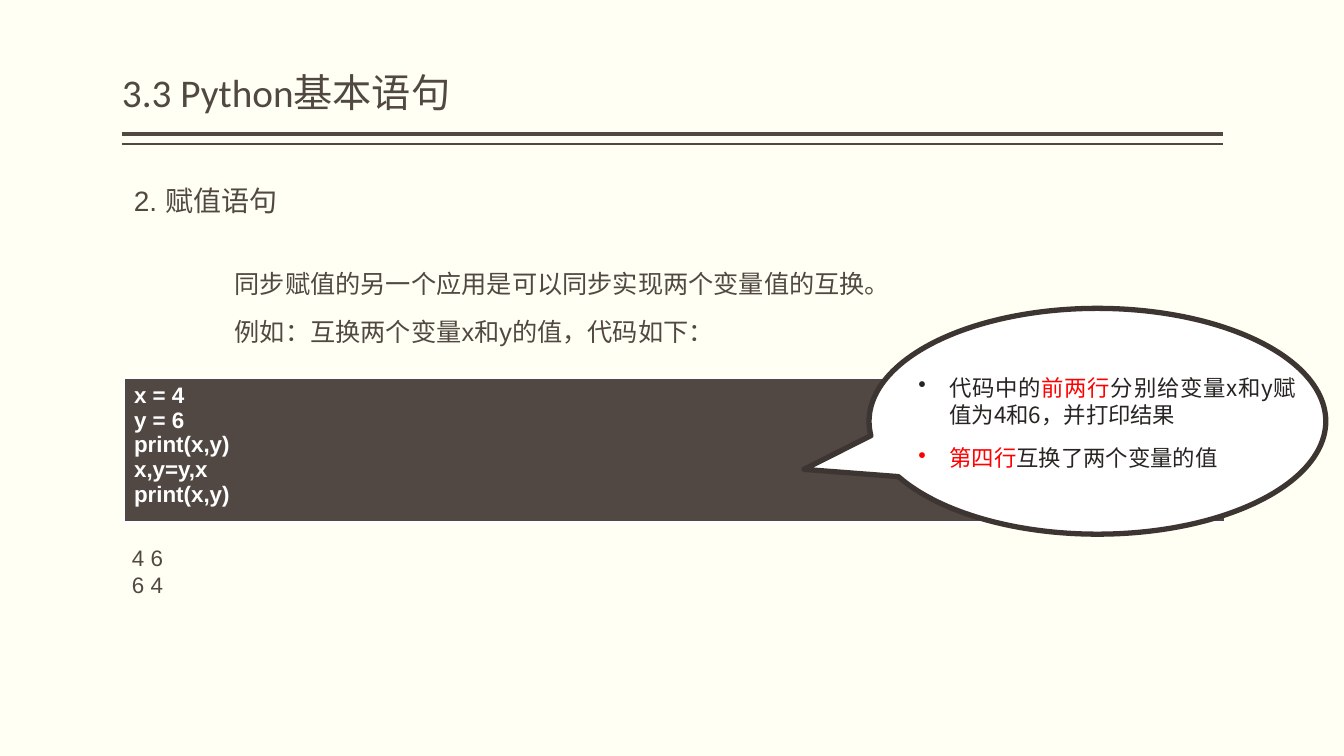
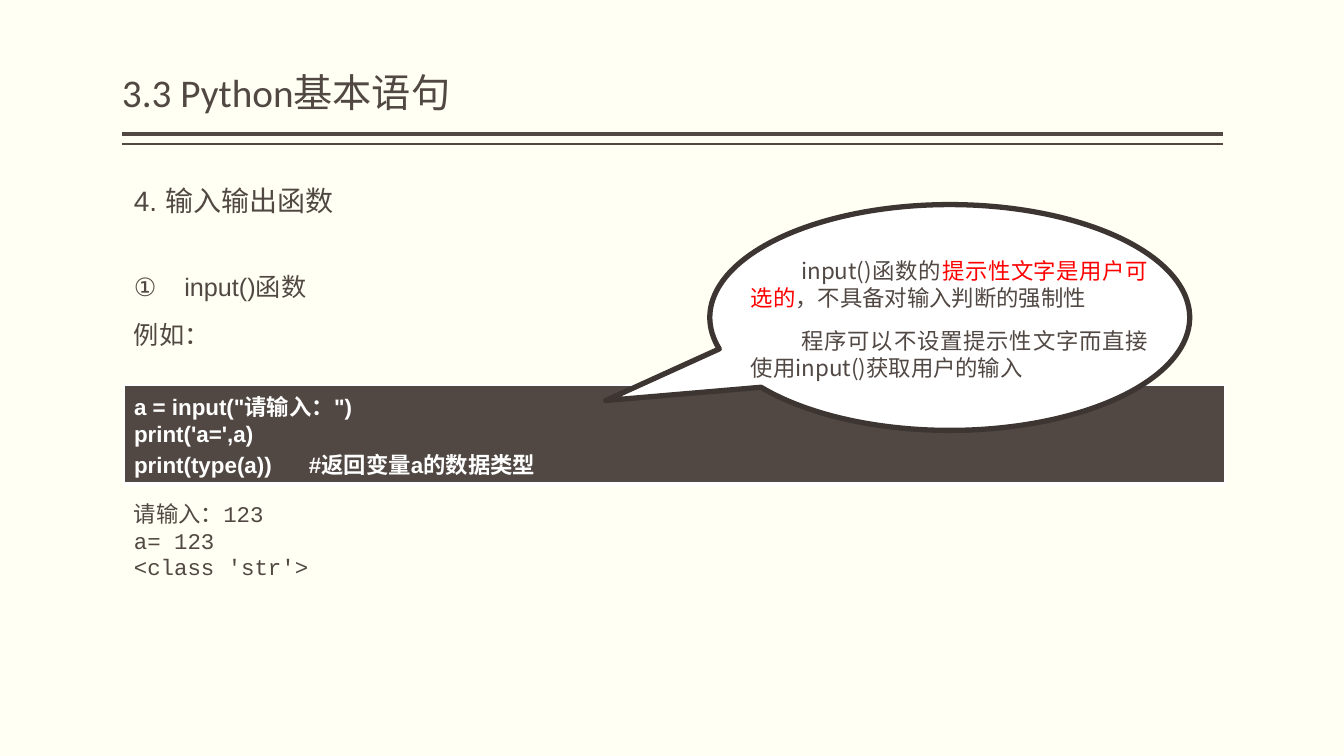
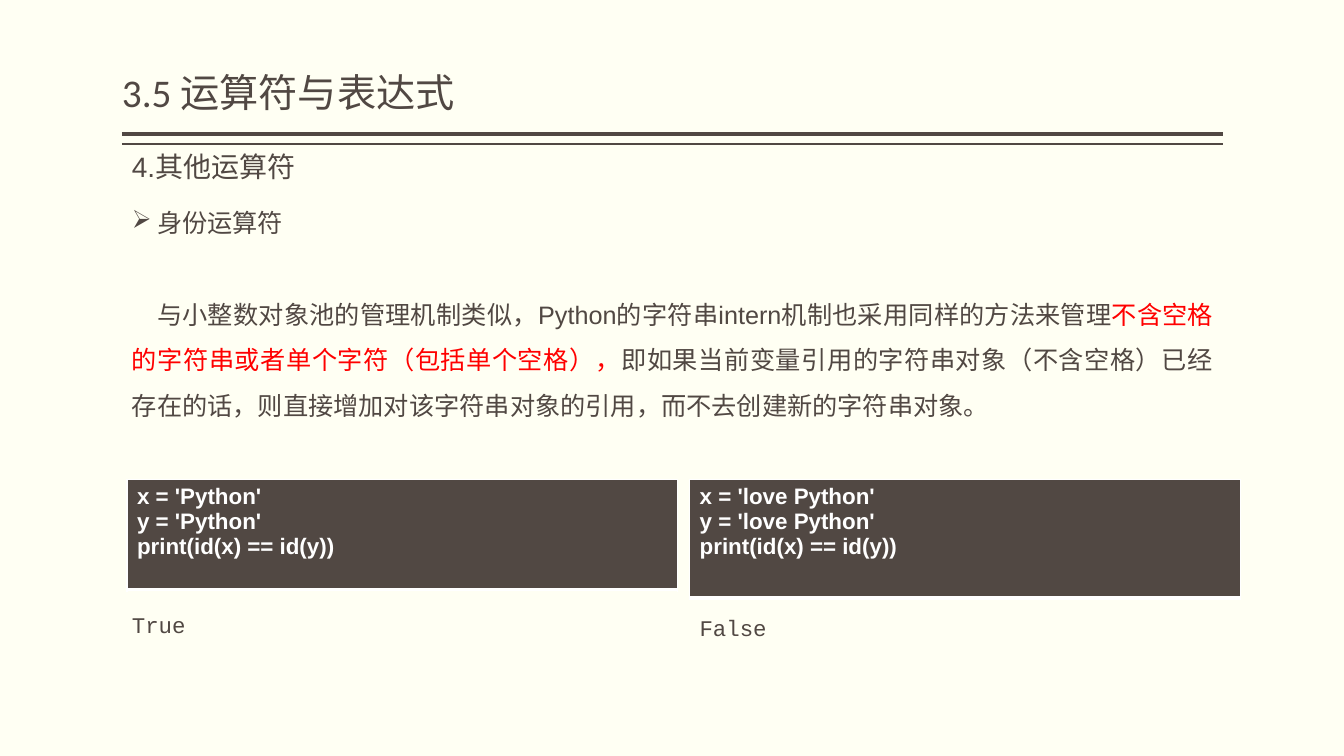
import pptx
import pptx.dml.color
import pptx.enum.shapes
import pptx.enum.text
import pptx.oxml
import pptx.oxml.ns
import pptx.util
from dataclasses import dataclass

Inches = pptx.util.Inches
Pt = pptx.util.Pt
qn = pptx.oxml.ns.qn
RGB = pptx.dml.color.RGBColor.from_string
JUSTIFY = pptx.enum.text.PP_ALIGN.JUSTIFY
NAMESPACE = pptx.oxml.ns.nsdecls("a")


@dataclass
class Theme:
    paper: str = "FFFFF3"
    brown: str = "514843"
    outline: str = "3C3532"
    ink: str = "282422"
    white: str = "FFFFFF"
    red: str = "FF0000"
    title_font: str = "Calibri"
    body_font: str = "Arial"
    mono_font: str = "Courier New"
    east_asian_font: str = "Noto Sans CJK SC"
    title_size: int = 28
    heading_size: int = 20
    body_size: int = 18
    small_size: int = 16


theme = Theme()
LEFT, WIDTH = 1.21, 10.92
DOT = '<a:buChar %s char="•"/>' % NAMESPACE
ARROW = '<a:buChar %s char="➢"/>' % NAMESPACE
CIRCLED = '<a:buAutoNum %s type="circleNumDbPlain"/>' % NAMESPACE


def write(frame, lines, size=theme.body_size, font=theme.body_font, color=theme.brown,
          bold=False, align=None, spacing=None, before=0, first_indent=0, hang=0, bullets=()):
    frame.word_wrap = True
    for number, line in enumerate(lines):
        paragraph = frame.add_paragraph() if number else frame.paragraphs[0]
        paragraph.alignment = align
        paragraph.line_spacing = spacing
        if number and before:
            paragraph.space_before = Pt(before)
        properties = paragraph._p.get_or_add_pPr()
        bullet = bullets[number] if number < len(bullets) else None
        if bullet:
            properties.set("marL", str(Inches(hang)))
            properties.set("indent", str(-Inches(hang)))
            properties.append(pptx.oxml.parse_xml(bullet))
        elif first_indent:
            properties.set("marL", "0")
            properties.set("indent", str(Inches(first_indent)))
        for position, part in enumerate(line.split("|")):
            if not part:
                continue
            run = paragraph.add_run()
            run.text = part
            run.font.size = Pt(size)
            run.font.bold = bold
            run.font.color.rgb = RGB(theme.red if position % 2 else color)
            run.font.name = font
            east_asian = run._r.get_or_add_rPr().makeelement(qn("a:ea"), {"typeface": theme.east_asian_font})
            run.font._element.append(east_asian)


def add_text(slide, left, top, width, height, lines, **style):
    box = slide.shapes.add_textbox(Inches(left), Inches(top), Inches(width), Inches(height))
    write(box.text_frame, lines, **style)
    return box.text_frame


BODY = dict(align=JUSTIFY, spacing=1.6)
RESULT = dict(size=theme.small_size, font=theme.mono_font)
NOTE = dict(size=theme.small_size, font=theme.east_asian_font, align=JUSTIFY, before=12)

lessons = [
    dict(
        title="3.3 Python基本语句",
        heading=(1.23, 1.77, "2. 赋值语句"),
        texts=[
            ((1.23, 2.43, WIDTH, 1.05),
             ["同步赋值的另一个应用是可以同步实现两个变量值的互换。",
              "例如：互换两个变量x和y的值，代码如下："],
             dict(BODY, first_indent=1)),
            ((LEFT, 5.35, WIDTH, 0.64), ["4 6", "6 4"], dict(size=theme.small_size)),
        ],
        code=[((1.23, 3.75, WIDTH, 1.33),
               ["x = 4", "y = 6", "print(x,y)", "x,y=y,x", "print(x,y)"])],
        callout=((8.62, 3.06, 4.53, 2.24), (-0.643, 0.213)),
        note=((9.01, 3.66, 3.94, 1.08),
              ["代码中的|前两行|分别给变量x和y赋值为4和6，并打印结果",
               "|第四行|互换了两个变量的值"],
              dict(NOTE, color=theme.ink, hang=0.31, bullets=(DOT, DOT))),
    ),
    dict(
        title="3.3 Python基本语句",
        heading=(1.23, 1.77, "4. 输入输出函数"),
        texts=[
            ((1.23, 2.46, WIDTH, 1.15), ["input()函数", "例如："],
             dict(BODY, hang=0.5, bullets=(CIRCLED,))),
            ((1.23, 4.91, WIDTH, 0.94), ["请输入：123", "a= 123", "<class 'str'>"], RESULT),
        ],
        code=[((1.23, 3.82, WIDTH, 0.98),
               ['a = input("请输入：")', "print('a=',a)", "print(type(a))      #返回变量a的数据类型"])],
        callout=((7.04, 2.03, 4.76, 2.24), (-0.717, 0.368)),
        note=((7.35, 2.5, 4.14, 1.35),
              ["input()函数的|提示性文字是用户可选的|，不具备对输入判断的强制性",
               "程序可以不设置提示性文字而直接使用input()获取用户的输入"],
              dict(NOTE, first_indent=0.5)),
    ),
    dict(
        title="3.5 运算符与表达式",
        heading=(LEFT, 1.43, "4.其他运算符"),
        texts=[
            ((LEFT, 2.01, 3.06, 0.5), ["身份运算符"], dict(hang=0.25, bullets=(ARROW,))),
            ((LEFT, 2.77, WIDTH, 1.55),
             ["与小整数对象池的管理机制类似，Python的字符串intern机制也采用同样的方法来管理"
              "|不含空格的字符串或者单个字符（包括单个空格），|"
              "即如果当前变量引用的字符串对象（不含空格）已经存在的话，"
              "则直接增加对该字符串对象的引用，而不去创建新的字符串对象。"],
             dict(align=JUSTIFY, spacing=1.5, first_indent=0.25)),
            ((LEFT, 6.01, 5.81, 0.37), ["True"], RESULT),
            ((6.84, 6.04, 5.81, 0.37), ["False"], RESULT),
        ],
        code=[
            ((1.26, 4.76, 5.46, 1.09), ["x = 'Python'", "y = 'Python'", "print(id(x) == id(y))"]),
            ((6.84, 4.76, 5.46, 1.17), ["x = 'love Python'", "y = 'love Python'", "print(id(x) == id(y))"]),
        ],
    ),
]

deck = pptx.Presentation()
deck.slide_width = Inches(13.33)
deck.slide_height = Inches(7.5)
background = deck.slide_master.background.fill
background.solid()
background.fore_color.rgb = RGB(theme.paper)

for lesson in lessons:
    slide = deck.slides.add_slide(deck.slide_layouts[6])

    for rule_top, rule_weight in ((1.33, 3), (1.43, 1)):
        rule = slide.shapes.add_connector(
            pptx.enum.shapes.MSO_CONNECTOR.STRAIGHT,
            Inches(LEFT), Inches(rule_top), Inches(LEFT + WIDTH), Inches(rule_top))
        rule.line.color.rgb = RGB(theme.brown)
        rule.line.width = Pt(rule_weight)
        rule._element.spPr.append(pptx.oxml.parse_xml("<a:effectLst %s/>" % NAMESPACE))

    title = add_text(slide, LEFT, 0.58, WIDTH, 0.62, [lesson["title"]],
                     size=theme.title_size, font=theme.title_font, spacing=0.9)
    title.vertical_anchor = pptx.enum.text.MSO_ANCHOR.BOTTOM
    title.margin_left = title.margin_right = 0

    heading_left, heading_top, heading = lesson["heading"]
    add_text(slide, heading_left, heading_top, 3.06, 0.62, [heading], size=theme.heading_size)

    for place, lines, style in lesson["texts"]:
        add_text(slide, *place, lines, **style)

    for place, lines in lesson["code"]:
        listing = slide.shapes.add_table(1, 1, *map(Inches, place)).table
        listing.first_row = listing.horz_banding = False
        cell = listing.cell(0, 0)
        cell_properties = cell._tc.get_or_add_tcPr()
        for side, weight in (("L", 1), ("R", 1), ("T", 1), ("B", 3)):
            cell_properties.append(pptx.oxml.parse_xml(
                '<a:ln%s %s w="%d"><a:solidFill><a:srgbClr val="%s"/></a:solidFill></a:ln%s>'
                % (side, NAMESPACE, Pt(weight), theme.white, side)))
        cell.fill.solid()
        cell.fill.fore_color.rgb = RGB(theme.brown)
        write(cell.text_frame, lines, size=theme.small_size, color=theme.white, bold=True)

    if "callout" in lesson:
        place, pointer = lesson["callout"]
        callout = slide.shapes.add_shape(
            pptx.enum.shapes.MSO_SHAPE.OVAL_CALLOUT, *map(Inches, place))
        callout.adjustments[0], callout.adjustments[1] = pointer
        callout.shadow.inherit = False
        callout.fill.solid()
        callout.fill.fore_color.rgb = RGB(theme.white)
        callout.line.color.rgb = RGB(theme.outline)
        callout.line.width = Pt(3.78)
        place, lines, style = lesson["note"]
        add_text(slide, *place, lines, **style)

deck.save("out.pptx")
